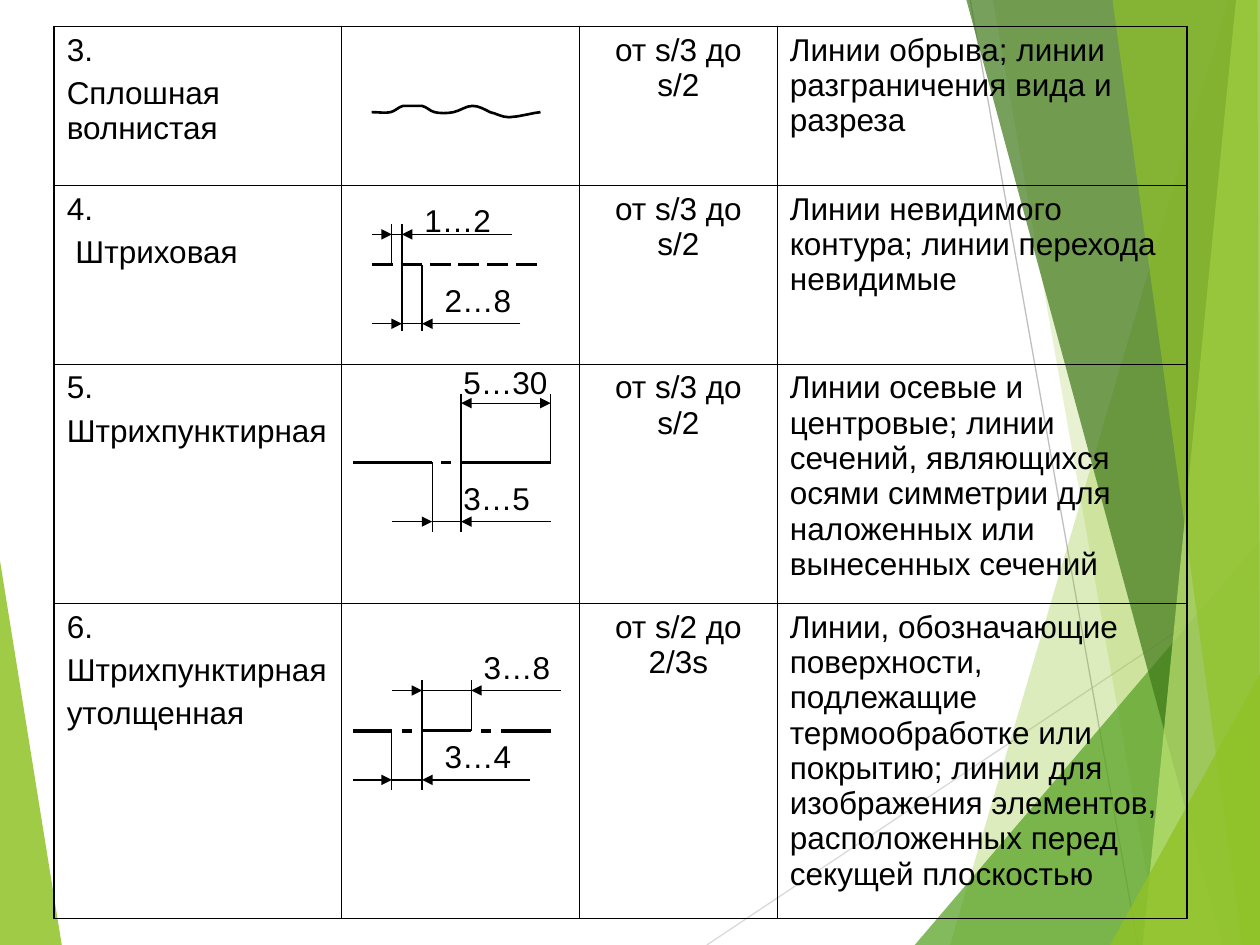
from pptx import Presentation
from pptx.dml.color import RGBColor
from pptx.enum.dml import MSO_LINE
from pptx.enum.shapes import MSO_CONNECTOR
from pptx.enum.text import PP_ALIGN
from pptx.oxml.ns import qn
from pptx.util import Inches, Pt
from lxml import etree

BLACK = RGBColor(0x00, 0x00, 0x00)
LIME = RGBColor(0x90, 0xC2, 0x26)
GREEN = RGBColor(0x54, 0xA0, 0x21)
FOREST = RGBColor(0x3F, 0x78, 0x19)
PALE = RGBColor(0xC0, 0xE4, 0x74)
GRAY = RGBColor(0xBF, 0xBF, 0xBF)
SILVER = RGBColor(0xD9, 0xD9, 0xD9)
LEFT, CENTER = PP_ALIGN.LEFT, PP_ALIGN.CENTER
STRAIGHT = MSO_CONNECTOR.STRAIGHT
DASH = MSO_LINE.LONG_DASH

COLS = [2.28, 1.89, 1.57, 3.25]
ROWS = [1.26, 1.42, 1.9, 2.5]
CELLS = [
    (["3.", "Сплошная волнистая"], "от s/3 до s/2",
     "Линии обрыва; линии разграничения вида и разреза"),
    (["4.", " Штриховая"], "от s/3 до s/2",
     "Линии невидимого контура; линии перехода невидимые"),
    (["5.", "Штрихпунктирная"], "от s/3 до s/2",
     "Линии осевые и центровые; линии сечений, являющихся осями "
     "симметрии для наложенных или вынесенных сечений"),
    (["6.", "Штрихпунктирная", "утолщенная"], "от s/2 до 2/3s",
     "Линии, обозначающие поверхности, подлежащие термообработке или "
     "покрытию; линии для изображения элементов, расположенных перед "
     "секущей плоскостью"),
]
SHARDS = [
    ([(9.75, 0), (7.54, 7.5), (10, 7.5), (10, 0)], LIME, 30),
    ([(7.88, 0), (9.2, 7.5), (10, 7.5), (10, 0)], LIME, 20),
    ([(7.26, 7.5), (10, 4.29), (10, 7.5)], GREEN, 72),
    ([(7.67, 0), (9.7, 7.5), (10, 7.5), (10, 0)], FOREST, 70),
    ([(9.81, 0), (9.07, 7.5), (10, 7.5), (10, 0)], PALE, 70),
    ([(8.83, 0), (9.86, 7.5), (10, 7.5), (9.98, 0)], LIME, 65),
    ([(8.81, 7.5), (10, 5.35), (10, 7.5)], LIME, 80),
]
WAVE = [
    (0.24, 0.68), (0.30, 0.68), (0.35, 0.69), (0.39, 0.68),
    (0.43, 0.67), (0.45, 0.64), (0.49, 0.63),
    (0.53, 0.63), (0.60, 0.63), (0.64, 0.63),
    (0.68, 0.64), (0.70, 0.67), (0.74, 0.68),
    (0.78, 0.69), (0.84, 0.69), (0.89, 0.68),
    (0.94, 0.67), (0.99, 0.63), (1.04, 0.63),
    (1.09, 0.63), (1.14, 0.66), (1.18, 0.68),
    (1.23, 0.69), (1.27, 0.72), (1.33, 0.72),
    (1.40, 0.72), (1.54, 0.68), (1.58, 0.68),
]


def write(frame, lines, align=LEFT, size=18, gap=4.5, color=BLACK):
    frame.word_wrap = True
    for i, text in enumerate(lines):
        para = frame.paragraphs[0] if i == 0 else frame.add_paragraph()
        para.alignment = align
        if i:
            para.space_before = Pt(gap)
        run = para.add_run()
        run.text = text
        run.font.size = Pt(size)
        run.font.name = "Arial"
        run.font.color.rgb = color


def label(page, box, x, y, text, width):
    frame = page.shapes.add_textbox(
        Inches(box[0] + x), Inches(box[1] + y), Inches(width), Inches(0.4))
    write(frame.text_frame, [text])


def rule(page, box, x, y, right, base, width=0.75, color=BLACK,
         dash=None, head=False, tail=False):
    line = page.shapes.add_connector(
        STRAIGHT, Inches(box[0] + x), Inches(box[1] + y),
        Inches(box[0] + right), Inches(box[1] + base))
    line.line.width = Pt(width)
    line.line.color.rgb = color
    if dash:
        line.line.dash_style = dash
    props = line._element.spPr
    for name, shown in (("a:headEnd", head), ("a:tailEnd", tail)):
        if shown:
            etree.SubElement(props.find(qn("a:ln")), qn(name), type="triangle")
    etree.SubElement(props, qn("a:effectLst"))


def trace(page, box, points, closed):
    spots = [(Inches(box[0] + x), Inches(box[1] + y)) for x, y in points]
    build = page.shapes.build_freeform(*spots[0])
    build.add_line_segments(spots[1:], close=closed)
    shape = build.convert_to_shape()
    shape.shadow.inherit = False
    return shape


def shard(page, box, points, color, alpha):
    shape = trace(page, box, points, True)
    shape.fill.solid()
    shape.fill.fore_color.rgb = color
    shape.line.fill.background()
    tint = shape._element.spPr.find(".//" + qn("a:srgbClr"))
    etree.SubElement(tint, qn("a:alpha"), val=str(alpha * 1000))


def backdrop(page, box):
    shard(page, box, [(0, 4.45), (0.49, 7.5), (0, 7.5)], LIME, 85)
    rule(page, box, 5.61, 7.5, 10, 4.57, color=SILVER)
    rule(page, box, 7.7, 0, 9.03, 7.5, color=GRAY)
    for points, color, alpha in SHARDS:
        shard(page, box, points, color, alpha)


def edge(cell, widths):
    cell.fill.background()
    props = cell._tc.get_or_add_tcPr()
    for i, (side, width) in enumerate(zip("LRTB", widths)):
        line = etree.Element(qn("a:ln" + side), w=str(Pt(width)))
        fill = etree.SubElement(line, qn("a:solidFill"))
        etree.SubElement(fill, qn("a:srgbClr"), val=str(BLACK))
        props.insert(i, line)


def grid(page, box):
    table = page.shapes.add_table(
        len(ROWS), len(COLS), Inches(box[0]), Inches(box[1]),
        Inches(sum(COLS)), Inches(sum(ROWS))).table
    table.first_row = table.horz_banding = False
    for col, width in zip(table.columns, COLS):
        col.width = Inches(width)
    for row, height in zip(table.rows, ROWS):
        row.height = Inches(height)
    for r, (name, width, usage) in enumerate(CELLS):
        write(table.cell(r, 0).text_frame, name)
        write(table.cell(r, 2).text_frame, [width], align=CENTER)
        write(table.cell(r, 3).text_frame, [usage])
        for c in range(len(COLS)):
            outer = (c == 0, c == len(COLS) - 1, r == 0, r == len(ROWS) - 1)
            edge(table.cell(r, c), [1.08 if out else 0.45 for out in outer])


def gauge(page, box, axis, y, lip, left, right, ends=None):
    for x in (left, right):
        rule(page, box, x, axis, x, lip)
    rule(page, box, left, y, right, y, head=not ends, tail=not ends)
    if ends:
        rule(page, box, ends[0], y, left, y, tail=True)
        rule(page, box, ends[1], y, right, y, tail=True)


def strokes(page, box, axis, spans, width):
    for left, right in spans:
        rule(page, box, left, axis, right, axis, width=width)


def wavy(page, box):
    points = WAVE[:1]
    for i in range(0, len(WAVE) - 1, 3):
        a, b, c, d = WAVE[i:i + 4]
        for t in (0.25, 0.5, 0.75, 1):
            u = 1 - t
            points = points + [tuple(
                u**3 * p + 3 * u * u * t * q + 3 * u * t * t * r + t**3 * s
                for p, q, r, s in zip(a, b, c, d))]
    shape = trace(page, box, points, False)
    shape.fill.background()
    shape.line.color.rgb = BLACK
    shape.line.width = Pt(1.5)


def dashed(page, box):
    rule(page, box, 0.24, 0.63, 1.58, 0.63, width=1.5, dash=DASH)
    gauge(page, box, 0.63, 0.39, 0.31, 0.40, 0.48, (0.24, 1.35))
    gauge(page, box, 0.63, 1.10, 1.16, 0.48, 0.64, (0.24, 1.42))
    label(page, box, 0.56, 0.08, "1…2", 0.87)
    label(page, box, 0.72, 0.71, "2…8", 0.79)


def dotted(page, box):
    strokes(page, box, 0.78, [(0.09, 0.72), (0.79, 0.87), (0.95, 1.66)], 1.5)
    gauge(page, box, 0.78, 0.31, 0.24, 0.95, 1.66)
    gauge(page, box, 0.78, 1.25, 1.33, 0.72, 0.95, (0.40, 1.66))
    label(page, box, 0.87, -0.06, "5…30", 0.95)
    label(page, box, 0.87, 0.86, "3…5", 0.87)


def heavy(page, box):
    strokes(page, box, 1.01, [(0.09, 0.40), (0.48, 0.56), (1.11, 1.19),
                              (1.27, 1.66)], 2)
    strokes(page, box, 1.01, [(0.64, 1.03)], 1.75)
    gauge(page, box, 1.01, 0.69, 0.61, 0.64, 1.03, (0.40, 1.74))
    gauge(page, box, 1.01, 1.40, 1.48, 0.40, 0.64, (0.09, 1.50))
    label(page, box, 1.03, 0.30, "3…8", 0.94)
    label(page, box, 0.72, 1.01, "3…4", 1.1)


def main():
    deck = Presentation()
    deck.slide_width, deck.slide_height = Inches(10), Inches(7.5)
    page = deck.slides.add_slide(deck.slide_layouts[6])
    backdrop(page, (0, 0))
    left, top = 0.43, 0.21
    grid(page, (left, top))
    for i, draw in enumerate((wavy, dashed, dotted, heavy)):
        draw(page, (left + COLS[0], top + sum(ROWS[:i])))
    deck.save("out.pptx")


if __name__ == "__main__":
    main()
